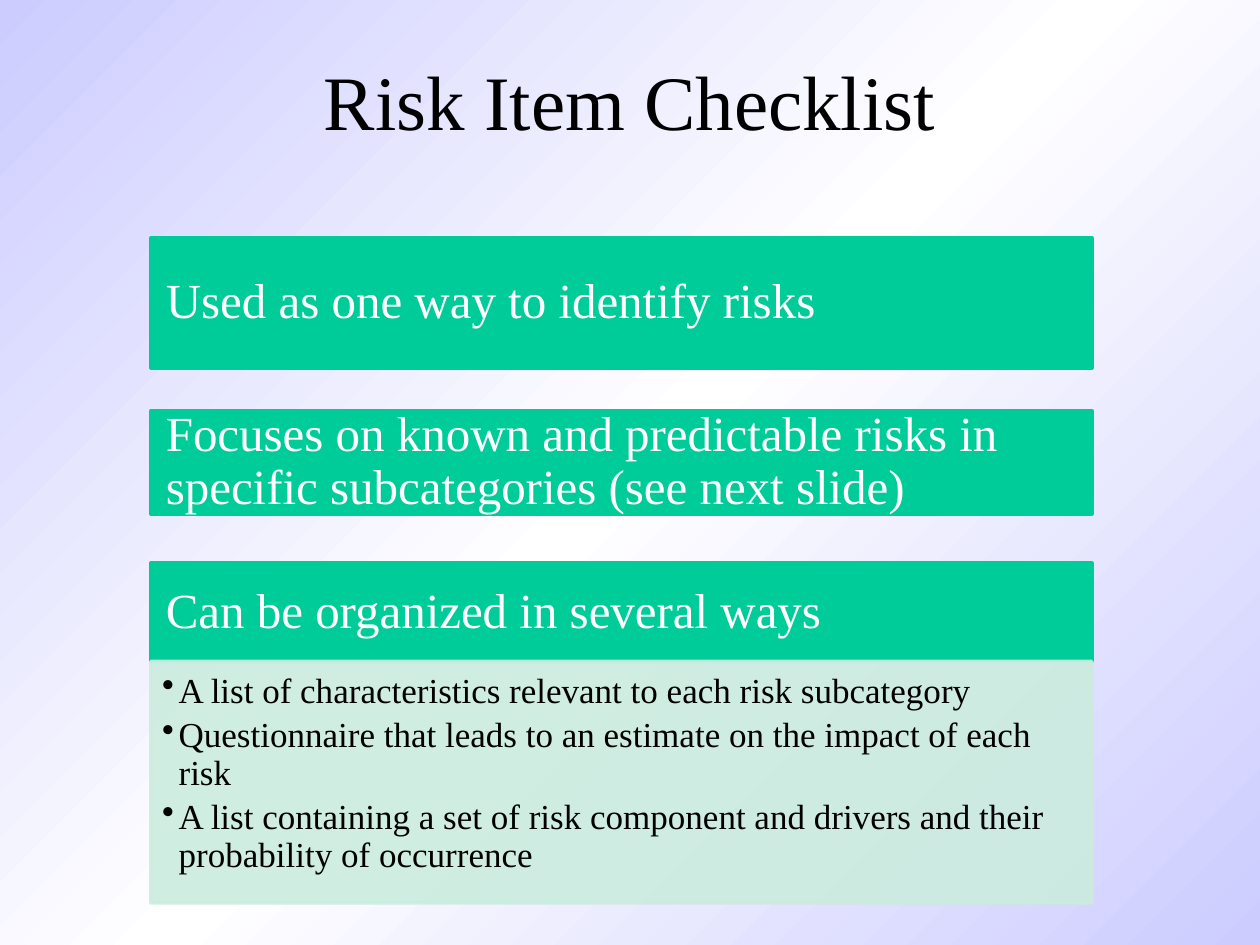
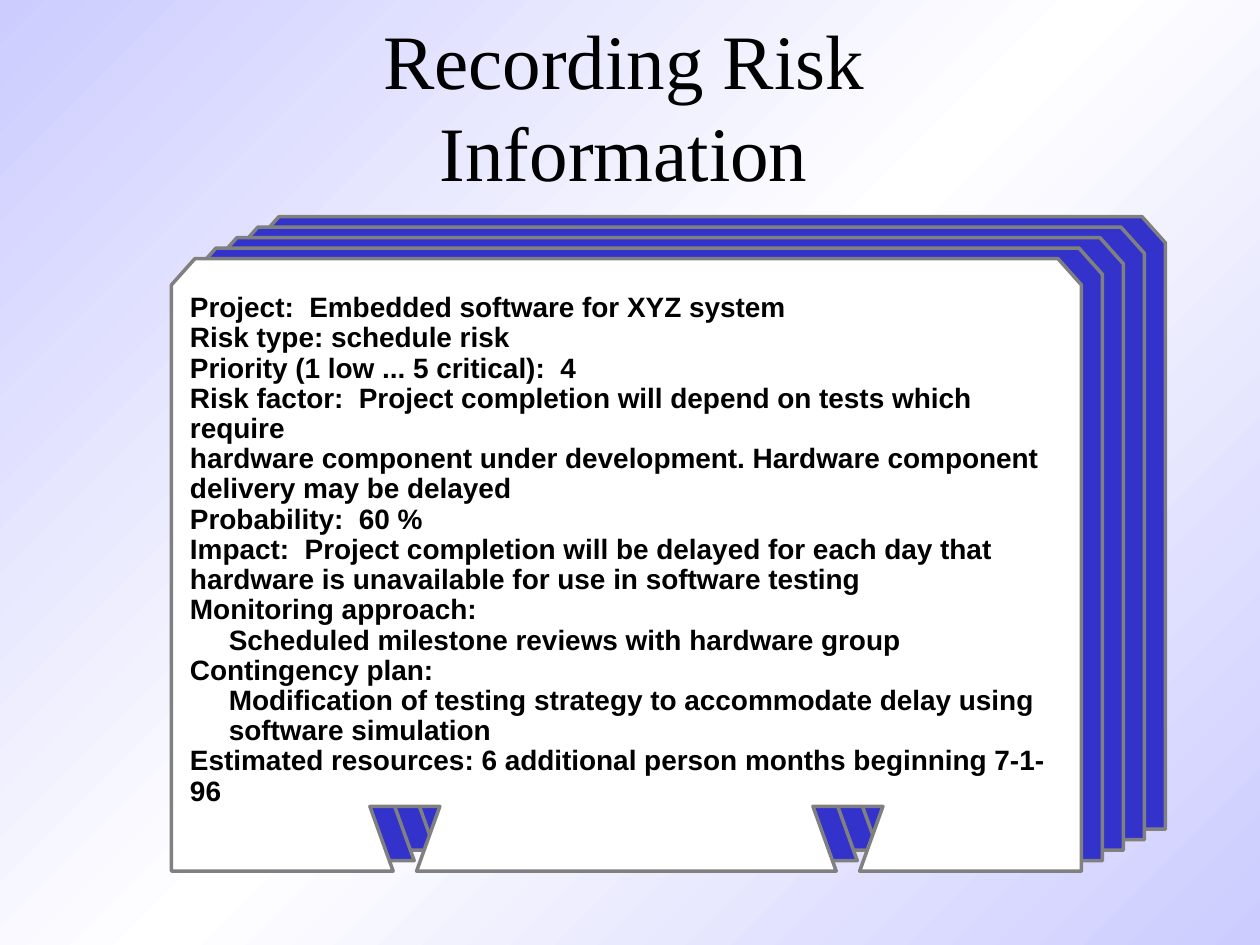
from lxml.etree import SubElement
from pptx import Presentation
from pptx.dml.color import RGBColor
from pptx.enum.shapes import MSO_SHAPE
from pptx.enum.text import MSO_ANCHOR, MSO_AUTO_SIZE, PP_ALIGN
from pptx.oxml.ns import qn
from pptx.util import Pt

SERIF, SANS = "Times New Roman", "Arial"
BLACK, WHITE, GREEN, MINT = "000000", "FFFFFF", "00CC99", "CBECDE"
BLUE, GRAY, LAVENDER = "3333CC", "808080", "CCCCFF"
BACKGROUND_STOPS = [(0, LAVENDER), (50, WHITE), (100, LAVENDER)]

CHECKLIST_TITLE = ("Risk Item Checklist", (54, 12, 612, 90))
BAND_LEFT, BAND_WIDTH = 86.2, 537.8
BANDS = [
    ("Used as one way to identify risks", 136, 74.2),
    ("Focuses on known and predictable risks in specific subcategories (see next slide)", 234.7, 59),
    ("Can be organized in several ways", 321.8, 56.2),
]
WAYS = [
    "A list of characteristics relevant to each risk subcategory",
    "Questionnaire that leads to an estimate on the impact of each risk",
    "A list containing a set of risk component and drivers and their probability of occurrence",
]
WAYS_TOP, WAYS_HEIGHT, BULLET_INDENT = 378, 138, 9.4

RECORD_TITLE = ("Recording Risk Information", (101.5, 15, 510, 90))
RECORD_LINES = [
    (0, "Project:  Embedded software for XYZ system"),
    (0, "Risk type: schedule risk"),
    (0, "Priority (1 low ... 5 critical):  4"),
    (0, "Risk factor:  Project completion will depend on tests which require"),
    (0, "hardware component under development. Hardware component"),
    (0, "delivery may be delayed"),
    (0, "Probability:  60 %"),
    (0, "Impact:  Project completion will be delayed for each day that"),
    (0, "hardware is unavailable for use in software testing"),
    (0, "Monitoring approach:"),
    (1, "Scheduled milestone reviews with hardware group"),
    (0, "Contingency plan:"),
    (1, "Modification of testing strategy to accommodate delay using"),
    (1, "software simulation"),
    (0, "Estimated resources: 6 additional person months beginning 7-1-96"),
]
RECORD_INDENT = 22.2
CARD_COUNT, CARD_LEFT, CARD_TOP = 5, 98, 147.8
CARD_WIDTH, CARD_HEIGHT = 520, 350
CARD_STEP_X, CARD_STEP_Y = 12, 6
CORNER_X, CORNER_Y = 13.4, 15
NOTCH_CENTER, NOTCH_BASE, NOTCH_TOP, NOTCH_HEIGHT = 133.4, 6.7, 20, 37


def color(value):
    return RGBColor.from_string(value)


def points(values):
    return [Pt(value) for value in values]


def add_run(paragraph, text, size, font_name, font_color, bold=False):
    run = paragraph.add_run()
    run.text = text
    run.font.size = Pt(size)
    run.font.name = font_name
    run.font.bold = bold
    run.font.color.rgb = color(font_color)


def add_paragraph(frame, index):
    paragraph = frame.add_paragraph() if index else frame.paragraphs[0]
    paragraph.alignment = PP_ALIGN.LEFT
    paragraph.line_spacing = 0.9
    return paragraph


def set_indent(paragraph, left, first=0):
    properties = paragraph._p.get_or_add_pPr()
    properties.set("marL", str(Pt(left)))
    properties.set("indent", str(Pt(first)))
    return properties


def set_frame(shape, anchor, insets):
    frame = shape.text_frame
    frame.word_wrap = True
    frame.vertical_anchor = anchor
    (frame.margin_left, frame.margin_top,
     frame.margin_right, frame.margin_bottom) = points(insets)
    return frame


def paint(shape, fill, line):
    shape.shadow.inherit = False
    shape.fill.solid()
    shape.fill.fore_color.rgb = color(fill)
    shape.line.color.rgb = color(line)
    shape.line.width = Pt(2)


def set_background(master):
    fill = master.background.fill
    fill.gradient()
    fill.gradient_angle = 315
    stops = next(master.element.iter(qn("a:gsLst")))
    for stop in list(stops):
        stops.remove(stop)
    for position, value in BACKGROUND_STOPS:
        stop = SubElement(stops, qn("a:gs"), pos=str(position * 1000))
        SubElement(stop, qn("a:srgbClr"), val=value)


def add_slide(presentation, title, box):
    slide = presentation.slides.add_slide(presentation.slide_layouts[5])
    shape = slide.shapes.title
    shape.left, shape.top, shape.width, shape.height = points(box)
    frame = set_frame(shape, MSO_ANCHOR.MIDDLE, (7.2, 3.6, 7.2, 3.6))
    frame.auto_size = MSO_AUTO_SIZE.NONE
    paragraph = frame.paragraphs[0]
    paragraph.alignment = PP_ALIGN.CENTER
    add_run(paragraph, title, 44, SERIF, BLACK)
    return slide


def add_band(slide, top, height, fill):
    band = slide.shapes.add_shape(
        MSO_SHAPE.RECTANGLE, *points((BAND_LEFT, top, BAND_WIDTH, height)))
    paint(band, fill, fill)
    return band


def build_checklist(presentation):
    slide = add_slide(presentation, *CHECKLIST_TITLE)
    for text, top, height in BANDS:
        band = add_band(slide, top, height, GREEN)
        frame = set_frame(band, MSO_ANCHOR.MIDDLE, (8.6, 5, 8.6, 5))
        paragraph = add_paragraph(frame, 0)
        paragraph.space_after = Pt(12.2)
        add_run(paragraph, text, 28, SERIF, WHITE)

    panel = add_band(slide, WAYS_TOP, WAYS_HEIGHT, MINT)
    for tint in panel._element.spPr.iter(qn("a:srgbClr")):
        SubElement(tint, qn("a:alpha"), val="90000")
    frame = set_frame(panel, MSO_ANCHOR.TOP, (6.5, 6.5, 8.6, 9.4))
    for index, text in enumerate(WAYS):
        paragraph = add_paragraph(frame, index)
        paragraph.level = 1
        paragraph.space_after = Pt(3.7)
        properties = set_indent(paragraph, BULLET_INDENT, -BULLET_INDENT)
        bullet_color = SubElement(properties, qn("a:buClr"))
        SubElement(bullet_color, qn("a:srgbClr"), val=BLACK)
        SubElement(properties, qn("a:buChar"), char="•")
        add_run(paragraph, text, 20, SERIF, BLACK)


def card_outline():
    notch_y = CARD_HEIGHT - NOTCH_HEIGHT
    left_half = [
        (NOTCH_CENTER + NOTCH_BASE, CARD_HEIGHT),
        (NOTCH_CENTER + NOTCH_TOP, notch_y),
        (NOTCH_CENTER - NOTCH_TOP, notch_y),
        (NOTCH_CENTER - NOTCH_BASE, CARD_HEIGHT),
        (0, CARD_HEIGHT),
        (0, CORNER_Y),
        (CORNER_X, 0),
    ]
    return left_half + [(CARD_WIDTH - x, y) for x, y in reversed(left_half)]


def add_card(slide, left, top, fill):
    corners = [points((left + x, top + y)) for x, y in card_outline()]
    builder = slide.shapes.build_freeform(*corners[0])
    builder.add_line_segments(corners[1:], close=True)
    paint(builder.convert_to_shape(), fill, GRAY)


def build_record(presentation):
    slide = add_slide(presentation, *RECORD_TITLE)
    for depth in reversed(range(CARD_COUNT)):
        add_card(slide, CARD_LEFT + depth * CARD_STEP_X,
                 CARD_TOP - depth * CARD_STEP_Y, BLUE if depth else WHITE)

    box = slide.shapes.add_textbox(*points((101.5, 164.2, 507, 337)))
    frame = set_frame(box, MSO_ANCHOR.TOP, (7.2, 3.6, 7.2, 3.6))
    frame.auto_size = MSO_AUTO_SIZE.SHAPE_TO_FIT_TEXT
    for index, (level, text) in enumerate(RECORD_LINES):
        paragraph = add_paragraph(frame, index)
        set_indent(paragraph, level * RECORD_INDENT)
        add_run(paragraph, text, 16, SANS, BLACK, bold=True)


def main():
    presentation = Presentation()
    presentation.slide_width, presentation.slide_height = Pt(720), Pt(540)
    set_background(presentation.slide_master)
    build_checklist(presentation)
    build_record(presentation)
    presentation.save("out.pptx")


if __name__ == "__main__":
    main()
